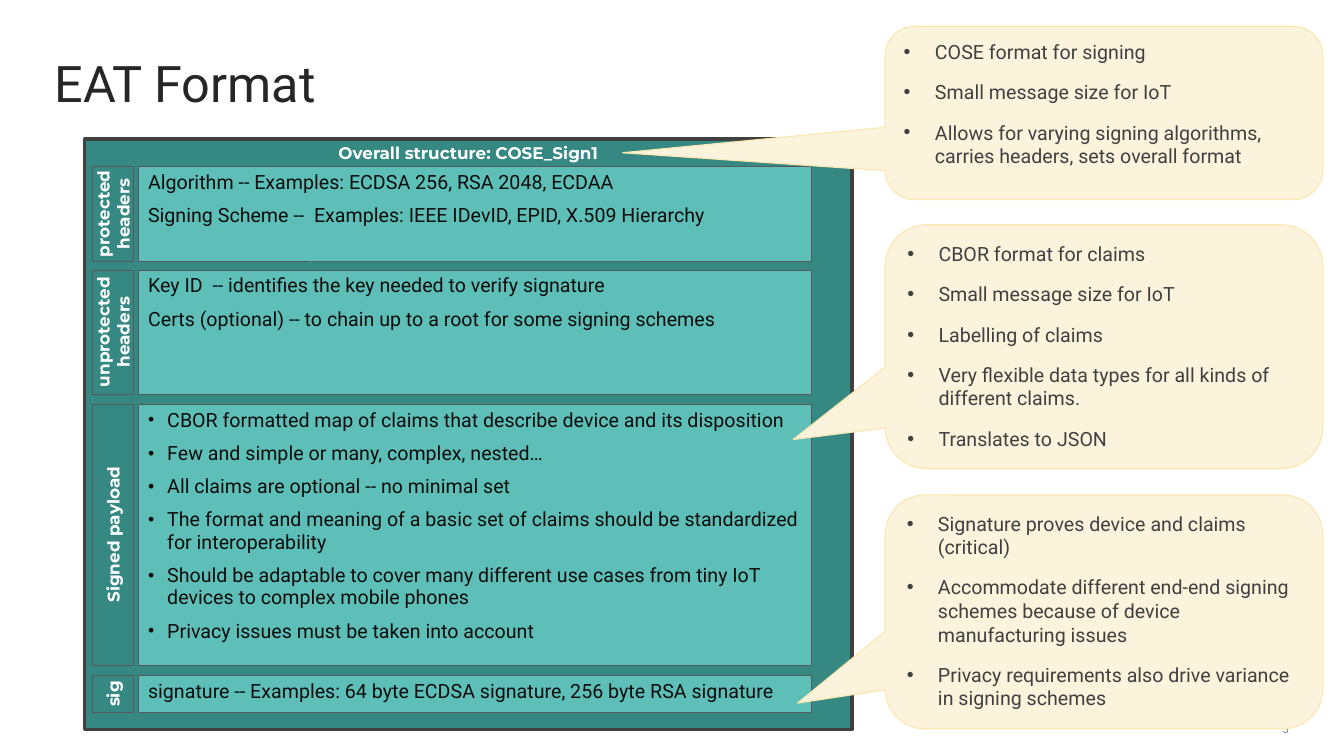
from pptx import Presentation
from pptx.dml.color import RGBColor
from pptx.enum.shapes import MSO_SHAPE
from pptx.enum.text import MSO_ANCHOR, PP_ALIGN
from pptx.oxml.ns import qn
from pptx.util import Inches, Pt
from lxml import etree

RECT = MSO_SHAPE.RECTANGLE
CALLOUT = MSO_SHAPE.ROUNDED_RECTANGULAR_CALLOUT
TOP, MIDDLE, BOTTOM = MSO_ANCHOR.TOP, MSO_ANCHOR.MIDDLE, MSO_ANCHOR.BOTTOM
LEFT, CENTER, RIGHT = PP_ALIGN.LEFT, PP_ALIGN.CENTER, PP_ALIGN.RIGHT

COLORS = {
    "title": "262626", "page": "808080", "white": "FFFFFF",
    "body": "0D0D0D", "note": "404040",
    "frame": "368882", "panel": "5EBFB8", "cream": "FCF3DC",
    "dark": "404040", "gray": "595959", "gold": "FCE8B3",
}

# Text formats: font, paragraph and frame values, colour, bullet
FORMATS = {
    "title": {"font": {"size": Pt(36), "name": "Roboto"}, "color": "title",
              "para": {"line_spacing": 0.82, "alignment": LEFT},
              "anchor": BOTTOM, "inset": (0, 0)},
    "page": {"font": {"size": Pt(8), "name": "Roboto"}, "color": "page",
             "para": {"line_spacing": 1.25, "alignment": RIGHT},
             "anchor": MIDDLE, "inset": (0, 0)},
    "head": {"font": {"size": Pt(12), "name": "Montserrat", "bold": True},
             "color": "white",
             "para": {"line_spacing": 0.95, "space_after": Pt(7.8),
                      "alignment": CENTER},
             "anchor": TOP, "inset": (0.1, 0.05)},
    "tag": {"font": {"size": Pt(12), "name": "Montserrat", "bold": True},
            "color": "white", "para": {"alignment": CENTER},
            "anchor": MIDDLE, "inset": (0, 0.02)},
    "body": {"font": {"size": Pt(14), "name": "Roboto"}, "color": "body",
             "para": {"line_spacing": 0.95, "space_after": Pt(7.8),
                      "alignment": LEFT},
             "anchor": TOP, "inset": (0.1, 0.05)},
    "note": {"font": {"size": Pt(14), "name": "Roboto"}, "color": "note",
             "para": {"space_after": Pt(12), "alignment": LEFT},
             "anchor": TOP, "inset": (0.1, 0.05), "bullet": (0.31, 100)},
}
FORMATS["list"] = FORMATS["body"] | {"bullet": (0.19, 90)}

# Rows of the structure: tag lines, top, height, text format, text lines
ROWS = [
    (["protected", "headers"], 1.65, 0.94, "body", [
        "Algorithm -- Examples: ECDSA 256, RSA 2048, ECDAA",
        "Signing Scheme --  Examples: IEEE IDevID, EPID, X.509 Hierarchy"]),
    (["unprotected", "headers"], 2.68, 1.23, "body", [
        "Key ID  -- identifies the key needed to verify signature",
        "Certs (optional) -- to chain up to a root for some signing schemes"]),
    (["Signed payload"], 4.01, 2.59, "list", [
        "CBOR formatted map of claims that describe device and its disposition",
        "Few and simple or many, complex, nested…",
        "All claims are optional -- no minimal set",
        "The format and meaning of a basic set of claims should be "
        "standardized for interoperability",
        "Should be adaptable to cover many different use cases from tiny IoT "
        "devices to complex mobile phones",
        "Privacy issues must be taken into account"]),
    (["sig"], 6.7, 0.37, "body", [
        "signature -- Examples: 64 byte ECDSA signature, "
        "256 byte RSA signature"]),
]

# Callouts: top, height, pointer tip, text lines
NOTES = [
    (0.26, 1.72, (-1.1, 0.23), [
        "COSE format for signing",
        "Small message size for IoT",
        "Allows for varying signing algorithms, carries headers, "
        "sets overall format"]),
    (2.23, 2.42, (-0.71, 0.38), [
        "CBOR format for claims",
        "Small message size for IoT",
        "Labelling of claims",
        "Very flexible data types for all kinds of different claims.",
        "Translates to JSON"]),
    (4.91, 2.32, (-0.7, 0.39), [
        "Signature proves device and claims (critical)",
        "Accommodate different end-end signing schemes because of device "
        "manufacturing issues",
        "Privacy requirements also drive variance in signing schemes"]),
]


def color(name):
    return RGBColor.from_string(COLORS[name])


class Deck:
    def __init__(self, slide, formats):
        self.slide = slide
        self.formats = formats

    def label(self, shape, lines, style):
        """Fill a shape with one paragraph per line."""
        look = self.formats[style]
        frame = shape.text_frame
        frame.word_wrap = True
        frame.vertical_anchor = look["anchor"]
        side, edge = map(Inches, look["inset"])
        frame.margin_left = frame.margin_right = side
        frame.margin_top = frame.margin_bottom = edge
        for i, line in enumerate(lines):
            para = frame.add_paragraph() if i else frame.paragraphs[0]
            run = para.add_run()
            run.text = line
            for key, value in look["para"].items():
                setattr(para, key, value)
            for key, value in look["font"].items():
                setattr(run.font, key, value)
            run.font.color.rgb = color(look["color"])
            if "bullet" in look:
                self.bullet(para, *look["bullet"])

    def bullet(self, para, indent, size):
        props = para._p.get_or_add_pPr()
        props.set("marL", str(Inches(indent)))
        props.set("indent", str(-Inches(indent)))
        for tag, key, value in (("a:buSzPct", "val", str(size * 1000)),
                                ("a:buFont", "typeface", "Arial"),
                                ("a:buChar", "char", "•")):
            etree.SubElement(props, qn(tag)).set(key, value)

    def text(self, box, line, style):
        shape = self.slide.shapes.add_textbox(*map(Inches, box))
        self.label(shape, [line], style)

    def shape(self, kind, box, fill, line, width, lines, style):
        shape = self.slide.shapes.add_shape(kind, *map(Inches, box))
        shape.shadow.inherit = False
        shape.fill.solid()
        shape.fill.fore_color.rgb = color(fill)
        shape.line.color.rgb = color(line)
        shape.line.width = Pt(width)
        self.label(shape, lines, style)
        return shape

    def panel(self, top, height, lines, style):
        self.shape(RECT, (1.37, top, 6.68, height), "panel", "gray", 0.5,
                   lines, style)

    def tag(self, top, height, lines):
        """Add a label turned to read upwards, centred on its row."""
        mid, thick = 1.12, 0.4
        box = (mid - height / 2, top + (height - thick) / 2, height, thick)
        shape = self.shape(RECT, box, "frame", "gray", 0.5, lines, "tag")
        shape.rotation = 270
        tint = shape._element.spPr.find(qn("a:solidFill"))[0]
        etree.SubElement(tint, qn("a:alpha")).set("val", "57000")

    def note(self, top, height, tip, lines):
        shape = self.shape(CALLOUT, (8.78, top, 4.34, height), "cream",
                           "gold", 0.85, lines, "note")
        for i, value in enumerate((*tip, 0.17)):
            shape.adjustments[i] = value


def main():
    prs = Presentation()
    prs.slide_width, prs.slide_height = Inches(13.33), Inches(7.5)
    deck = Deck(prs.slides.add_slide(prs.slide_layouts[6]), FORMATS)

    # Page number and title
    deck.text((12, 7.14, 0.78, 0.15), "5", "page")
    deck.text((0.54, 0.62, 12.24, 0.5), "EAT Format", "title")

    # Structure with its rows
    deck.shape(RECT, (0.84, 1.38, 7.61, 5.86), "frame", "dark", 2.25,
               ["Overall structure: COSE_Sign1"], "head")
    for name, top, height, style, lines in ROWS:
        deck.panel(top, height, lines, style)
        deck.tag(top, height, name)

    # Callouts
    for entry in NOTES:
        deck.note(*entry)

    prs.save("out.pptx")


if __name__ == "__main__":
    main()
